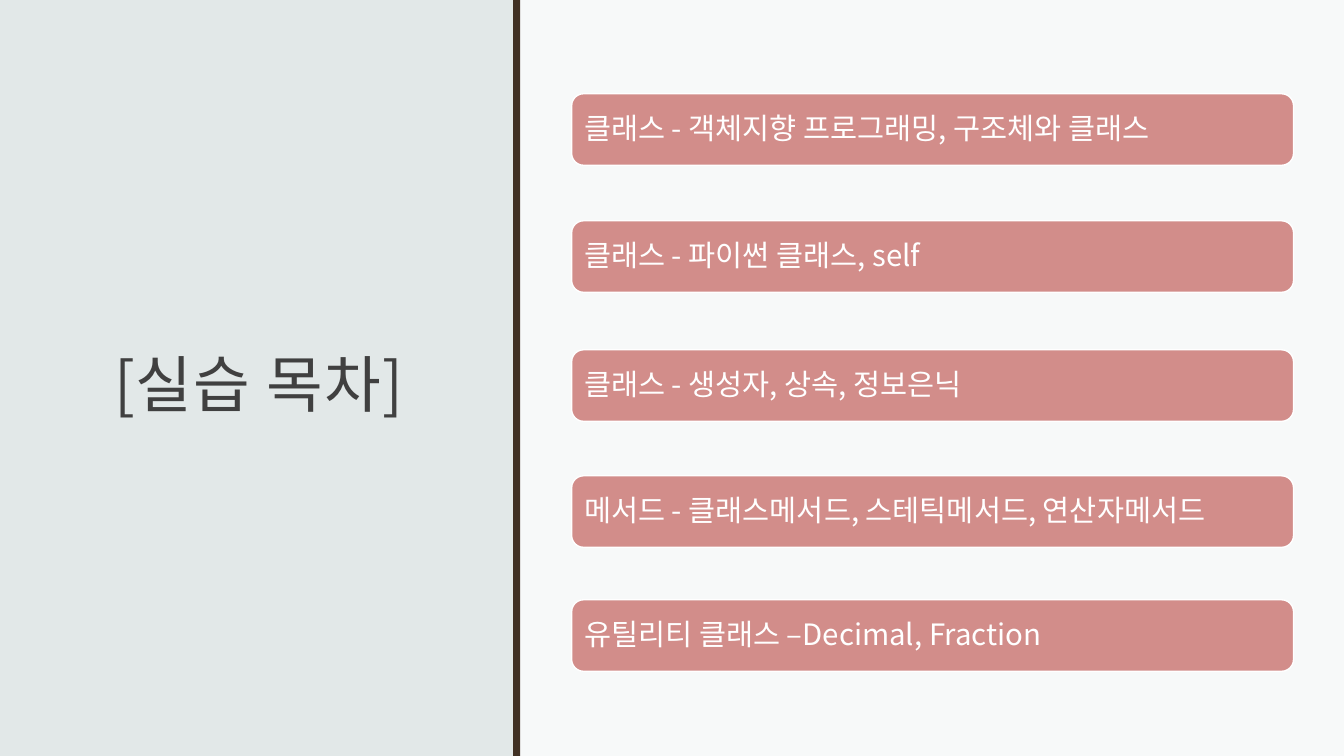
"""Build the practice agenda slide: a title panel and five topic bars."""
from lxml.etree import SubElement
from pptx import Presentation
from pptx.dml.color import RGBColor
from pptx.enum.shapes import MSO_SHAPE as Preset
from pptx.enum.text import MSO_ANCHOR as Anchor, PP_ALIGN as Align
from pptx.oxml.ns import qn
from pptx.util import Inches, Pt

FONT = "Noto Sans CJK KR"
TITLE = "[실습 목차]"
TOPICS = [
    (0.93, "클래스 - 객체지향 프로그래밍, 구조체와 클래스"),
    (2.19, "클래스 - 파이썬 클래스, self"),
    (3.47, "클래스 - 생성자, 상속, 정보은닉"),
    (4.72, "메서드 - 클래스메서드, 스테틱메서드, 연산자메서드"),
    (5.95, "유틸리티 클래스 –Decimal, Fraction"),
]
COLORS = {"background": "E2E8E8", "panel": "FFFFFF", "divider": "413124",
          "title": "404040", "bar": "D28D8A", "topic": "FFFFFF"}
SLIDE_W, SLIDE_H = 13.33, 7.5
PANEL_LEFT, DIVIDER_LEFT, DIVIDER_W = 5.16, 5.09, 0.07
TITLE_BOX = (0.7, 0.91, 3.73, 5.68)
BAR_LEFT, BAR_W, BAR_H = 5.67, 7.16, 0.71


def paint(color_format, role):
    color_format.rgb = RGBColor.from_string(COLORS[role])


def add_block(slide, preset, box, role):
    block = slide.shapes.add_shape(preset, *map(Inches, box))
    block.shadow.inherit = False
    block.fill.solid()
    paint(block.fill.fore_color, role)
    block.line.fill.background()
    return block


def write(holder, text, size, role, align, spacing, insets):
    frame = holder.text_frame
    frame.word_wrap = True
    frame.vertical_anchor = Anchor.MIDDLE
    (frame.margin_left, frame.margin_top,
     frame.margin_right, frame.margin_bottom) = map(Inches, insets)
    frame.text = text
    paragraph = frame.paragraphs[0]
    paragraph.alignment = align
    paragraph.line_spacing = spacing
    font = paragraph.runs[0].font
    font.size = Pt(size)
    font.name = FONT
    paint(font.color, role)
    properties = paragraph.runs[0]._r.get_or_add_rPr()
    SubElement(properties, qn("a:ea")).set("typeface", FONT)
    return paragraph


def main():
    deck = Presentation()
    deck.slide_width, deck.slide_height = Inches(SLIDE_W), Inches(SLIDE_H)
    slide = deck.slides.add_slide(deck.slide_layouts[6])
    slide.background.fill.solid()
    paint(slide.background.fill.fore_color, "background")

    panel = add_block(slide, Preset.RECTANGLE,
                      (PANEL_LEFT, 0, SLIDE_W - PANEL_LEFT, SLIDE_H), "panel")
    panel_color = panel.fill._xPr.find(qn("a:solidFill"))[0]
    SubElement(panel_color, qn("a:alpha")).set("val", "75000")
    add_block(slide, Preset.RECTANGLE,
              (DIVIDER_LEFT, 0, DIVIDER_W, SLIDE_H), "divider")

    title = slide.shapes.add_textbox(*map(Inches, TITLE_BOX))
    heading = write(title, TITLE, 44, "title", Align.CENTER, 1.1,
                    (0.12, 0.12, 0.12, 0.1))
    heading.runs[0]._r.get_or_add_rPr().set("spc", "80")

    for top, topic in TOPICS:
        bar = add_block(slide, Preset.ROUNDED_RECTANGLE,
                        (BAR_LEFT, top, BAR_W, BAR_H), "bar")
        paint_line = bar.line
        paint_line.fill.solid()
        paint(paint_line.color, "panel")
        paint_line.width = Pt(1)
        entry = write(bar, topic, 21, "topic", Align.LEFT, 0.9,
                      (0.09, 0.12, 0.09, 0.12))
        entry.space_after = Pt(7)

    deck.save("out.pptx")


if __name__ == "__main__":
    main()
